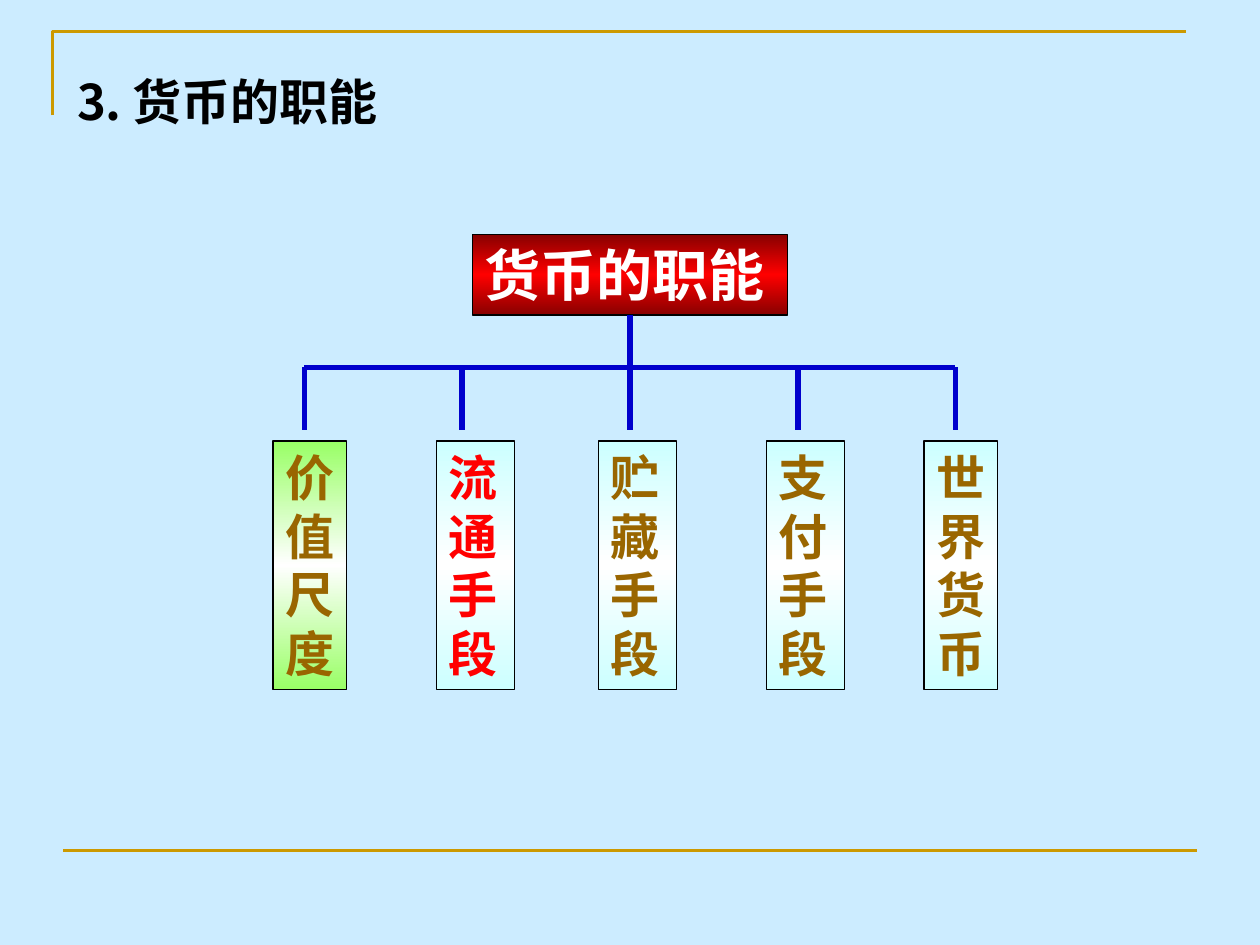
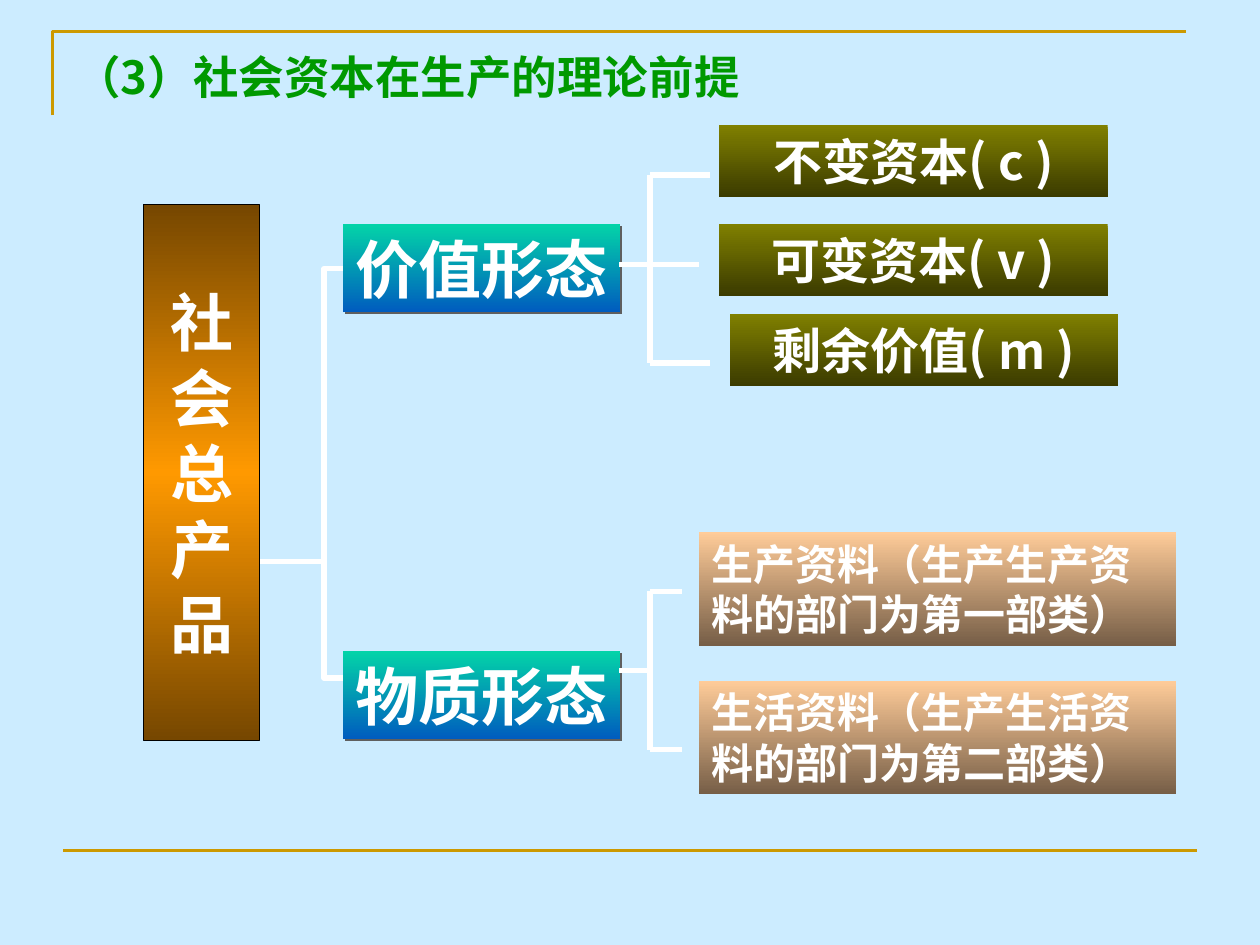
import copy
from dataclasses import dataclass

import pptx
import pptx.dml.color
import pptx.enum.shapes
import pptx.enum.text
import pptx.oxml
import pptx.oxml.ns
import pptx.util
from lxml import etree

Pt = pptx.util.Pt
RGB = pptx.dml.color.RGBColor.from_string
qn = pptx.oxml.ns.qn
ALIGN = pptx.enum.text.PP_ALIGN
ANCHOR = pptx.enum.text.MSO_ANCHOR
CONNECTOR = pptx.enum.shapes.MSO_CONNECTOR
RECTANGLE = pptx.enum.shapes.MSO_SHAPE.RECTANGLE


@dataclass(frozen=True)
class Theme:
    background: str = "CCECFF"
    gold: str = "CC9900"
    blue: str = "0000CC"
    black: str = "000000"
    white: str = "FFFFFF"
    red: str = "FF0000"
    brown: str = "996600"
    green: str = "009900"
    shadow: str = "5F5F5F"
    red_band: tuple = ("880000", "FF0000", "880000")
    pale_band: tuple = ("CCFFFF", "FFFFFF", "CCFFFF")
    green_band: tuple = ("99FF66", "FFFFFF", "99FF66")
    orange_band: tuple = ("764700", "FF9900", "764700")
    olive_fade: tuple = ("808000", "3B3B00")
    peach_fade: tuple = ("FFCC99", "765E47")
    teal_fade: tuple = ("03D4A8", "005CBF")
    font: str = "Noto Sans CJK SC"
    latin: str = "Arial"
    serif: str = "Times New Roman"
    huge: int = 36
    large: int = 32
    medium: int = 28
    subtitle: int = 26
    small: int = 24


theme = Theme()


def add_text(page, text, left, top, width, height, *, size, color=theme.white,
             font=theme.font, align=ALIGN.LEFT, anchor=ANCHOR.TOP, wrap=True,
             gradient=None, outlined=False, shadowed=False):
    """Add a text box, or a rectangle with a top-to-bottom gradient."""
    place = Pt(left), Pt(top), Pt(width), Pt(height)
    if gradient:
        box = page.shapes.add_shape(RECTANGLE, *place)
        box.shadow.inherit = False
        box.fill.gradient()
        box.fill.gradient_angle = 270
        stop_list = box._element.spPr.find(".//" + qn("a:gsLst"))
        while len(stop_list) < len(gradient):
            stop_list.append(copy.deepcopy(stop_list[0]))
        for index, (stop, shade) in enumerate(zip(box.fill.gradient_stops, gradient)):
            stop.position = index / (len(gradient) - 1)
            stop.color.rgb = RGB(shade)
        if outlined:
            box.line.color.rgb = RGB(theme.black)
            box.line.width = Pt(0.75)
        else:
            box.line.fill.background()
        if shadowed:
            effects = box._element.spPr.find(qn("a:effectLst"))
            shadow = etree.SubElement(effects, qn("a:outerShdw"), dist=str(Pt(1.4)),
                                      dir="2700000", algn="ctr", rotWithShape="0")
            etree.SubElement(shadow, qn("a:srgbClr"), val=theme.shadow)
    else:
        box = page.shapes.add_textbox(*place)

    frame = box.text_frame
    frame.word_wrap = wrap
    frame.vertical_anchor = anchor
    para = frame.paragraphs[0]
    para.alignment = align
    span = para.add_run()
    span.text = text
    span.font.name = font
    span.font.size = Pt(size)
    span.font.bold = True
    span.font.color.rgb = RGB(color)
    etree.SubElement(span.font._element, qn("a:ea"), typeface=theme.font)
    return box


def add_line(page, x1, y1, x2, y2, color, width=3, kind=CONNECTOR.STRAIGHT):
    line = page.shapes.add_connector(kind, Pt(x1), Pt(y1), Pt(x2), Pt(y2))
    line.line.color.rgb = RGB(color)
    line.line.width = Pt(width)
    etree.SubElement(line._element.spPr, qn("a:effectLst"))
    return line


deck = pptx.Presentation()
deck.slide_width, deck.slide_height = Pt(720), Pt(540)
blank = deck.slide_layouts[6]
functions_page, product_page = [deck.slides.add_slide(blank) for _ in range(2)]

# Shared background, corner rule and bottom rule
for page in deck.slides:
    page.background.fill.solid()
    page.background.fill.fore_color.rgb = RGB(theme.background)
    outline = page.shapes.build_freeform(Pt(30), Pt(66))
    outline.add_line_segments([(Pt(30), Pt(18)), (Pt(678), Pt(18))], close=False)
    corner = outline.convert_to_shape()
    corner.shadow.inherit = False
    corner.fill.background()
    corner.line.color.rgb = RGB(theme.gold)
    corner.line.width = Pt(1.5)
    add_line(page, 36, 486, 684, 486, theme.gold, 1.5)

# Slide 1: the functions of money
page = functions_page
add_text(page, "3. 货币的职能", 37, 37.5, 648, 90, size=theme.medium, color=theme.black)
root = add_text(page, "货币的职能", 270, 134, 180, 46, size=theme.large,
                font=theme.latin, gradient=theme.red_band, outlined=True)
rail_top = 210
stem = add_line(page, 360, 180, 360, rail_top, theme.blue)
stem.begin_connect(root, 2)
add_line(page, 174, rail_top, 546, rail_top, theme.blue)

functions = [
    # text, left, width, line x, text colour, gradient
    ("价值尺度", 156, 42, 174, theme.brown, theme.green_band),
    ("流通手段", 249.5, 44.5, 264, theme.red, theme.pale_band),
    ("贮藏手段", 342, 44.5, 360, theme.brown, theme.pale_band),
    ("支付手段", 438, 44.5, 456, theme.brown, theme.pale_band),
    ("世界货币", 528, 42, 546, theme.brown, theme.pale_band),
]
for text, left, width, line_x, color, gradient in functions:
    add_line(page, line_x, rail_top, line_x, 246, theme.blue)
    add_text(page, text, left, 252, width, 142, size=theme.medium, color=color,
             font=theme.serif, gradient=gradient, outlined=True)

# Slide 2: the two forms of the total social product
page = product_page
add_text(page, "（3）社会资本在生产的理论前提", 36, 24.5, 407, 39,
         size=theme.subtitle, color=theme.green, wrap=False)

for form_y in (153.5, 387.5):
    add_line(page, 145, 321, 225.5, form_y, theme.white, kind=CONNECTOR.ELBOW)
add_text(page, "社会总产品", 82, 117, 66.5, 306, size=theme.huge, align=ALIGN.CENTER,
         anchor=ANCHOR.MIDDLE, gradient=theme.orange_band, outlined=True)
for text, top in (("价值形态", 128), ("物质形态", 372)):
    add_text(page, text, 196, top, 158.5, 50.5, size=theme.huge, wrap=False,
             gradient=theme.teal_fade, shadowed=True)

bracket_x = 371.5
brackets = [
    # top, bottom, right end, form line y, form line right end
    (100, 207.5, 406, 151, 399.5),
    (338, 428.5, 389.5, 383, 372),
]
for top, bottom, right, form_y, form_right in brackets:
    add_line(page, bracket_x, top, bracket_x, bottom, theme.white)
    for y in (top, bottom):
        add_line(page, bracket_x, y, right, y, theme.white)
    add_line(page, 354, form_y, form_right, form_y, theme.white)

values = [("不变资本( c )", 411, 71.5), ("可变资本( v )", 411, 128), ("剩余价值( m )", 417, 179.5)]
for text, left, top in values:
    add_text(page, text, left, top, 222, 41, size=theme.medium, align=ALIGN.CENTER,
             gradient=theme.olive_fade)

materials = [("生产资料（生产生产资料的部门为第一部类）", 304),
             ("生活资料（生产生活资料的部门为第二部类）", 389)]
for text, top in materials:
    add_text(page, text, 399.5, top, 272.5, 65, size=theme.small, gradient=theme.peach_fade)

deck.save("out.pptx")
